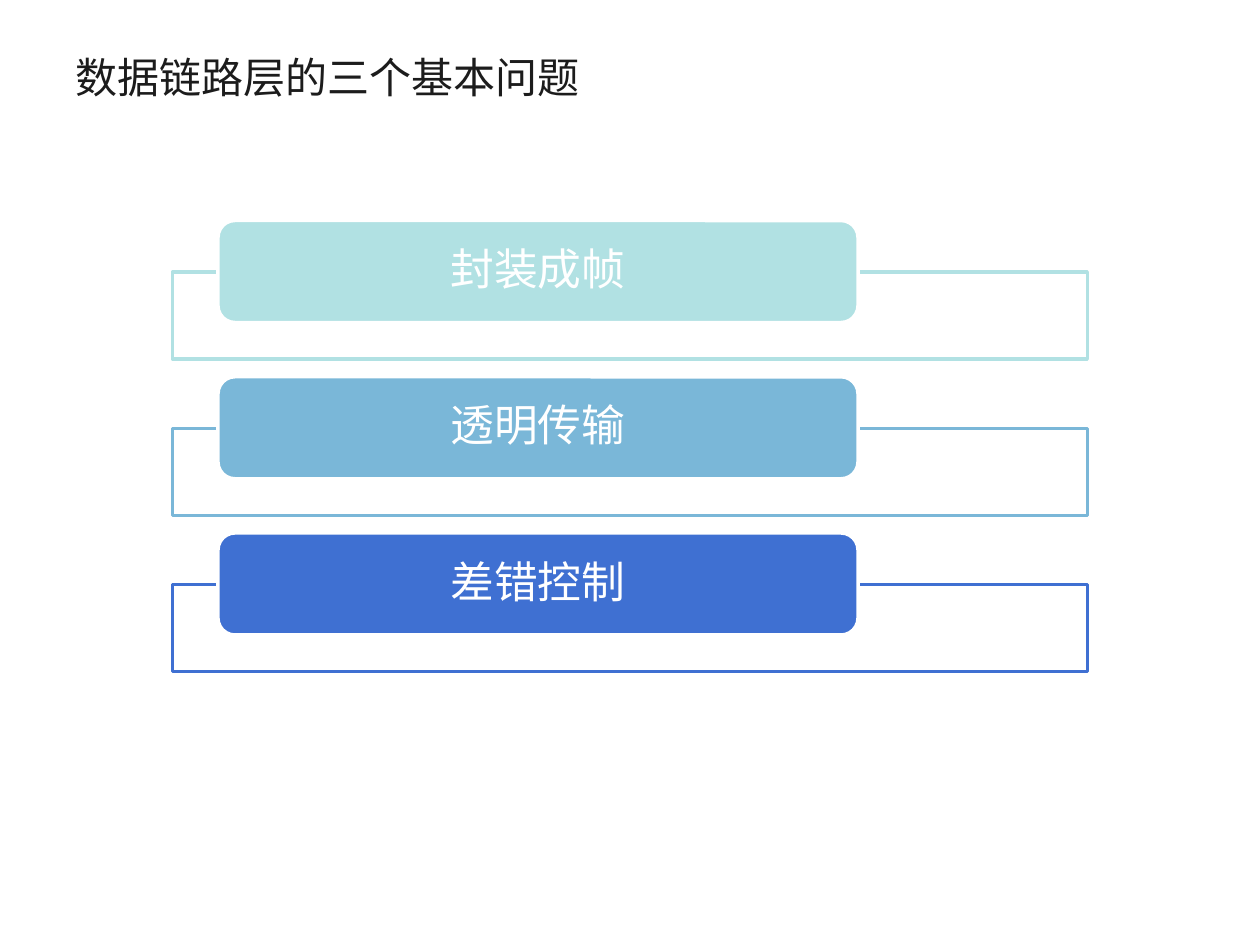
from dataclasses import dataclass

from lxml.etree import SubElement
from pptx import Presentation
from pptx.dml.color import RGBColor
from pptx.enum.shapes import MSO_SHAPE
from pptx.enum.text import MSO_ANCHOR, PP_ALIGN
from pptx.oxml.ns import qn
from pptx.util import Inches, Pt


@dataclass(frozen=True)
class Theme:
    font: str = "Noto Sans CJK SC"
    ink: str = "1C1C1C"
    paper: str = "FFFFFF"
    accents: tuple = ("B1E1E3", "7AB7D8", "3F70D2")
    title_size: int = 24
    label_size: int = 25
    line_width: int = 2


class ProblemSlide:
    def __init__(self, deck, theme):
        self.theme = theme
        self.slide = deck.slides.add_slide(deck.slide_layouts[5])

    def apply(self, target, values):
        for attribute, value in values.items():
            setattr(target, attribute, value)

    def set_text(self, frame, text, size, color, align, margins, spacing):
        self.apply(frame, {
            "word_wrap": True,
            "vertical_anchor": MSO_ANCHOR.MIDDLE,
            "margin_left": Inches(margins[0]),
            "margin_right": Inches(margins[0]),
            "margin_top": Inches(margins[1]),
            "margin_bottom": Inches(margins[1]),
        })
        paragraph = frame.paragraphs[0]
        self.apply(paragraph, {"alignment": align, "line_spacing": spacing})
        run = paragraph.add_run()
        run.text = text
        run.font.color.rgb = RGBColor.from_string(color)
        self.apply(run.font, {"name": self.theme.font, "size": Pt(size)})
        SubElement(run._r.get_or_add_rPr(), qn("a:ea"), typeface=self.theme.font)

    def title(self, text, box):
        heading = self.slide.shapes.title
        places = map(Inches, box)
        self.apply(heading, dict(zip(("left", "top", "width", "height"), places)))
        self.set_text(heading.text_frame, text, self.theme.title_size,
                      self.theme.ink, PP_ALIGN.LEFT, (0.1, 0.05), 1.0)

    def panel(self, preset, box, fill, line, opacity=100):
        shape = self.slide.shapes.add_shape(preset, *map(Inches, box))
        shape.shadow.inherit = False
        shape.fill.solid()
        shape.fill.fore_color.rgb = RGBColor.from_string(fill)
        shape.line.color.rgb = RGBColor.from_string(line)
        shape.line.width = Pt(self.theme.line_width)
        if opacity < 100:
            color = shape._element.spPr.find(qn("a:solidFill")).find(qn("a:srgbClr"))
            SubElement(color, qn("a:alpha"), val=str(opacity * 1000))
        return shape

    def problem(self, text, top, accent):
        paper = self.theme.paper
        self.panel(MSO_SHAPE.RECTANGLE, (1.37, top + 0.41, 7.26, 0.69),
                   paper, accent, opacity=90)
        label = self.panel(MSO_SHAPE.ROUNDED_RECTANGLE,
                           (1.73, top, 5.08, 0.81), accent, paper)
        self.set_text(label.text_frame, text, self.theme.label_size, paper,
                      PP_ALIGN.CENTER, (0.19, 0), 0.9)


FIRST_TOP, PITCH = 1.75, 1.24
PROBLEMS = ("封装成帧", "透明传输", "差错控制")

deck = Presentation()
deck.slide_width, deck.slide_height = Inches(10), Inches(7.5)
theme = Theme()
page = ProblemSlide(deck, theme)
page.title("数据链路层的三个基本问题", (0.5, 0.3, 9, 0.61))
for index, (problem, accent) in enumerate(zip(PROBLEMS, theme.accents)):
    page.problem(problem, FIRST_TOP + index * PITCH, accent)
deck.save("out.pptx")
